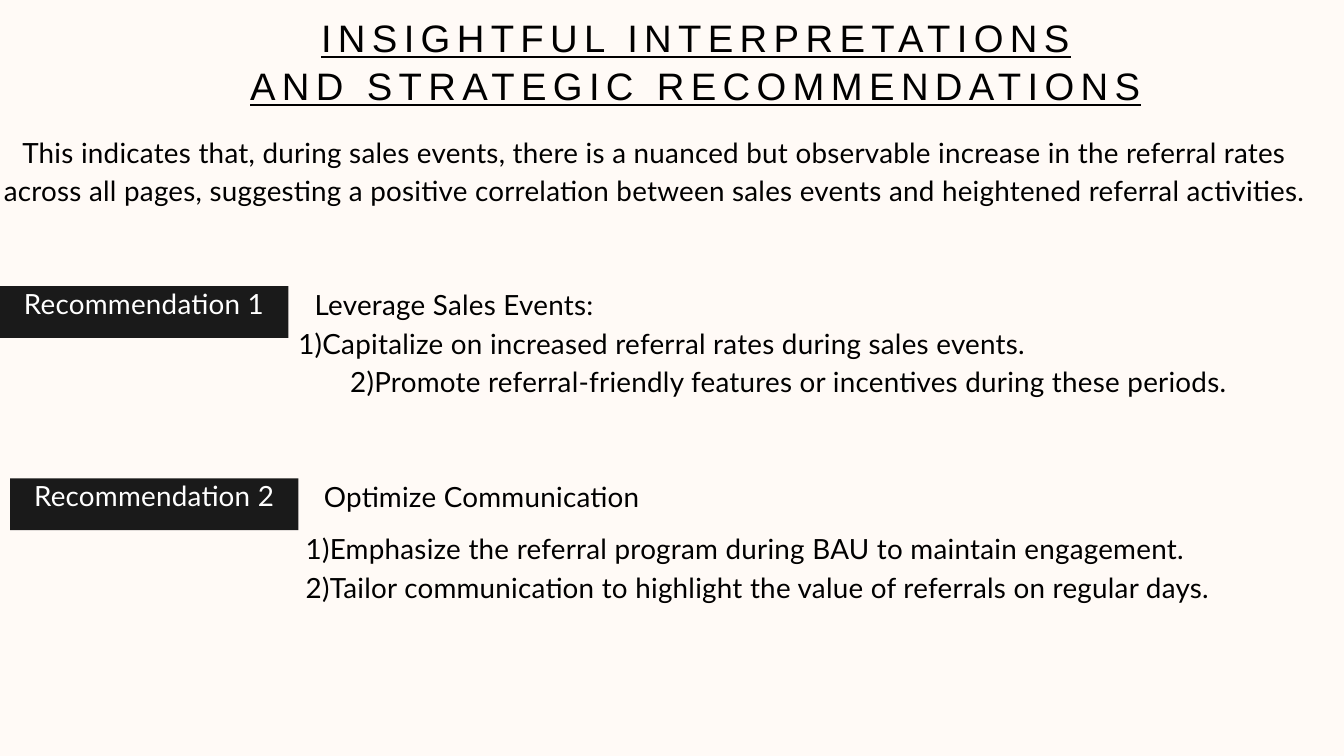
from pptx import Presentation
from pptx.dml.color import RGBColor
from pptx.enum.shapes import MSO_SHAPE
from pptx.enum.text import MSO_ANCHOR as ANCHOR, MSO_AUTO_SIZE as AUTO_SIZE, PP_ALIGN as ALIGN
from pptx.util import Inches, Pt

COLORS = {"background": "FFFAF6", "text": "000000", "label": "1A1A1A", "label_text": "FFFFFF"}
TITLE_STYLE = {"name": "Arial", "size": Pt(41), "underline": True}
BODY_STYLE = {"name": "Lato", "size": Pt(29.8)}
TITLE_SPACING, BODY_SPACING = 6.8, 0.3
TITLE_LEADING, BODY_LEADING = 51.2, 41.1
LABEL_WIDTH, LABEL_HEIGHT, LABEL_RISE = 4.29, 0.77, 0.35

TITLE = ["INSIGHTFUL INTERPRETATIONS", "AND STRATEGIC RECOMMENDATIONS"]
FINDING = (
    "This indicates that, during sales events, there is a nuanced but observable increase "
    "in the referral rates across all pages, suggesting a positive correlation between "
    "sales events and heightened referral activities."
)
RECOMMENDATIONS = [
    {
        "label": "Recommendation 1", "label_at": (0, 4.26),
        "heading": "Leverage Sales Events:", "heading_box": (4.44, 4.2, 4.64, 0.55),
        "actions": ["1)Capitalize on increased referral rates during sales events.",
                    "2)Promote referral-friendly features or incentives during these periods."],
        "actions_box": (4.44, 4.78, 14.61, 1.11), "aligns": [ALIGN.LEFT, ALIGN.CENTER],
    },
    {
        "label": "Recommendation 2", "label_at": (0.15, 7.12),
        "heading": "Optimize Communication", "heading_box": (4.55, 7.06, 5.24, 0.55),
        "actions": ["1)Emphasize the referral program during BAU to maintain engagement.",
                    "2)Tailor communication to highlight the value of referrals on regular days."],
        "actions_box": (4.55, 7.84, 14.97, 1.11), "aligns": [ALIGN.LEFT, ALIGN.LEFT],
    },
]


def rgb(role):
    return RGBColor.from_string(COLORS[role])


def write(shape, lines, aligns, style=BODY_STYLE, spacing=BODY_SPACING,
          leading=BODY_LEADING, color="text", anchor=ANCHOR.TOP, inset=0):
    """Fill the shape with one paragraph per line; spacing is between letters, in points."""
    frame = shape.text_frame
    frame.auto_size = AUTO_SIZE.NONE
    frame.word_wrap = True
    frame.vertical_anchor = anchor
    for side in ("left", "top", "right", "bottom"):
        setattr(frame, f"margin_{side}", Inches(inset))
    for index, (line, align) in enumerate(zip(lines, aligns)):
        paragraph = frame.paragraphs[0] if index == 0 else frame.add_paragraph()
        paragraph.alignment = align
        paragraph.line_spacing = Pt(leading)
        paragraph.space_before = Pt(0)
        run = paragraph.add_run()
        run.text = line
        for attribute, value in style.items():
            setattr(run.font, attribute, value)
        run.font.color.rgb = rgb(color)
        run.font._element.set("spc", str(round(spacing * 100)))


def add_text(shapes, box, lines, aligns, **options):
    write(shapes.add_textbox(*map(Inches, box)), lines, aligns, **options)


def add_label(slide, text, left, top):
    """Group a dark bar with its caption, which is centred slightly above the bar's middle."""
    group = slide.shapes.add_group_shape()
    bar = group.shapes.add_shape(
        MSO_SHAPE.RECTANGLE, *map(Inches, (left, top, LABEL_WIDTH, LABEL_HEIGHT)))
    bar.shadow.inherit = False
    bar.fill.solid()
    bar.fill.fore_color.rgb = rgb("label")
    bar.line.fill.background()
    caption_box = (left, top - LABEL_RISE, LABEL_WIDTH, LABEL_HEIGHT + LABEL_RISE)
    add_text(group.shapes, caption_box, [text], [ALIGN.CENTER],
             color="label_text", anchor=ANCHOR.MIDDLE, inset=0.06)


def main():
    deck = Presentation()
    deck.slide_width, deck.slide_height = Inches(20), Inches(11.25)
    slide = deck.slides.add_slide(deck.slide_layouts.get_by_name("Title Only"))
    slide.background.fill.solid()
    slide.background.fill.fore_color.rgb = rgb("background")

    title = slide.shapes.title
    title.left, title.top, title.width, title.height = map(Inches, (3.33, 0.19, 14.05, 1.42))
    write(title, TITLE, [ALIGN.CENTER] * len(TITLE), style=TITLE_STYLE,
          spacing=TITLE_SPACING, leading=TITLE_LEADING)
    add_text(slide.shapes, (0, 1.94, 19.51, 1.68), [FINDING], [ALIGN.CENTER])

    for item in RECOMMENDATIONS:
        add_label(slide, item["label"], *item["label_at"])
        add_text(slide.shapes, item["heading_box"], [item["heading"]], [ALIGN.CENTER])
        add_text(slide.shapes, item["actions_box"], item["actions"], item["aligns"])

    deck.save("out.pptx")


if __name__ == "__main__":
    main()
